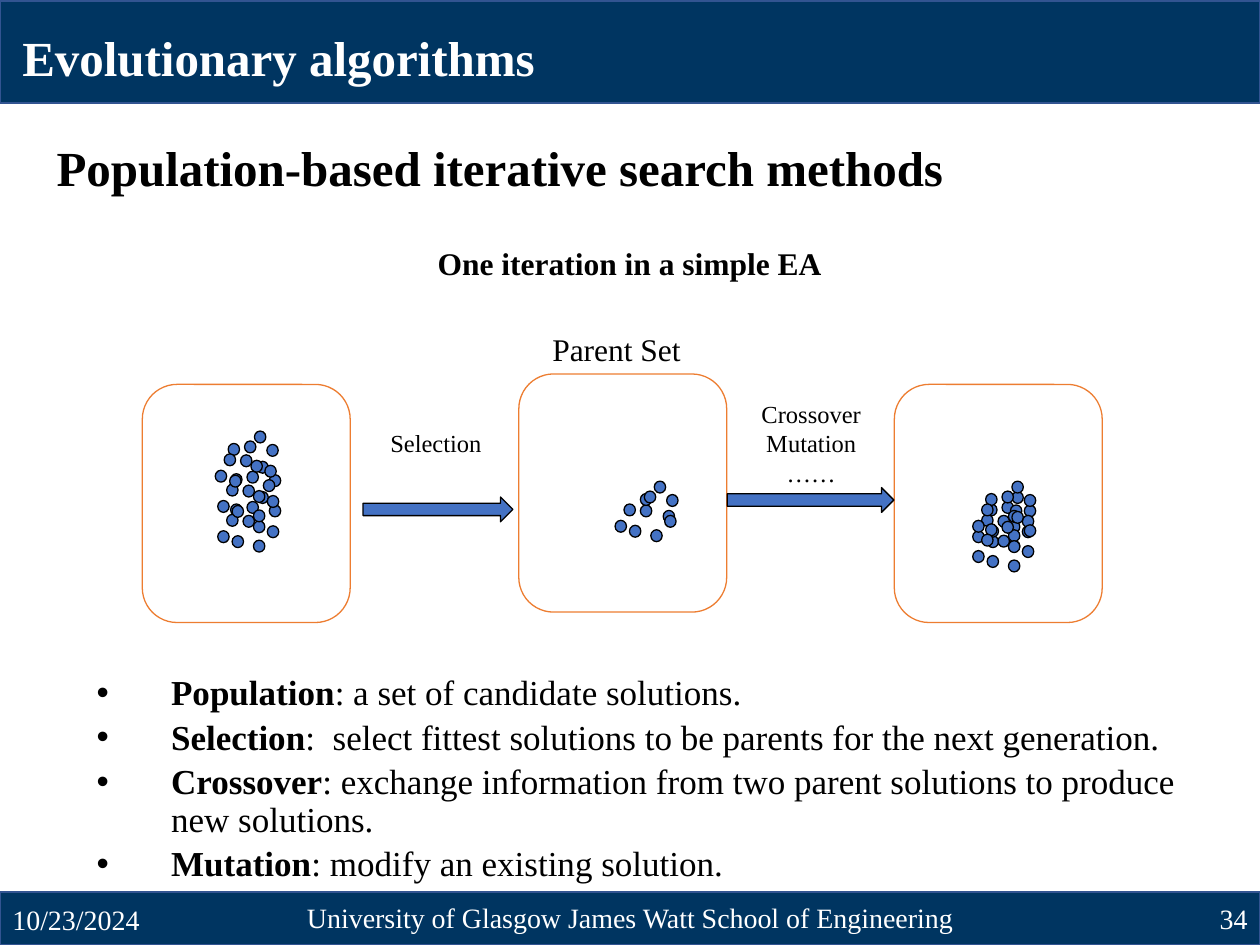
import pptx
import pptx.util
from lxml import etree
from pptx.dml.color import RGBColor
from pptx.enum.shapes import MSO_SHAPE
from pptx.enum.text import MSO_ANCHOR, PP_ALIGN
from pptx.oxml.ns import qn
from pptx.util import Cm, Pt

NAVY = RGBColor(0x00, 0x35, 0x61)
EDGE = RGBColor(0x32, 0x54, 0x91)
BLUE = RGBColor(0x44, 0x72, 0xC4)
ORANGE = RGBColor(0xED, 0x7D, 0x31)
BLACK = RGBColor(0, 0, 0)
WHITE = RGBColor(0xFF, 0xFF, 0xFF)

# One cluster of solutions: dot offsets in cm from the cluster's corner
DOTS = [(1.04, 0.27), (0.51, 0.48), (0.26, 0.25), (0.18, 0.46),
        (0.29, 0.89), (0.72, 0.59), (0.72, 0.98), (1.0, 0.69),
        (0.59, 0.2), (0, 0.79), (0.79, 0)]
SHIFT = 0.25

# Corner of each cluster, and the dots that sit one shift to the right
GROUPS = [
    (4.39, 9.91, ()), (12.4, 9.7, (2, 5)), (4.39, 9.3, ()),
    (4.34, 8.69, (6,)), (19.61, 9.91, ()), (19.61, 9.7, (1,)),
    (19.61, 10.31, ()),
]

TERMS = [
    ("Population", ": a set of candidate solutions."),
    ("Selection", ":  select fittest solutions to be parents for the next"
                  " generation."),
    ("Crossover", ": exchange information from two parent solutions to"
                  " produce new solutions."),
    ("Mutation", ": modify an existing solution."),
]


class Deck:
    face = "Times New Roman"

    def __init__(self, slide):
        self.slide = slide

    def shape(self, kind, x, y, w, h, fill=BLUE, line=BLACK, width=0.75):
        item = self.slide.shapes.add_shape(kind, Cm(x), Cm(y), Cm(w), Cm(h))
        item.shadow.inherit = False
        if fill is None:
            item.fill.background()
        else:
            item.fill.solid()
            item.fill.fore_color.rgb = fill
        item.line.color.rgb = line
        item.line.width = Pt(width)
        return item

    def bar(self, y, h):
        self.shape(MSO_SHAPE.RECTANGLE, 0, y, 25.4, h, NAVY, EDGE, 1)

    def frame(self, x, y):
        item = self.shape(MSO_SHAPE.ROUNDED_RECTANGLE, x, y, 4.19, 4.8,
                          None, ORANGE)
        item.adjustments[0] = 0.167

    def arrow(self, x, y, w):
        self.shape(MSO_SHAPE.RIGHT_ARROW, x, y, w, 0.5)

    def group(self, x, y, moved):
        """Draw one cluster of dots."""
        for i, (dx, dy) in enumerate(DOTS):
            push = SHIFT if i in moved else 0
            self.shape(MSO_SHAPE.OVAL, x + dx + push, y + dy, 0.23, 0.24)

    def box(self, x, y, w, h, wrap=True, anchor=MSO_ANCHOR.TOP):
        item = self.slide.shapes.add_textbox(Cm(x), Cm(y), Cm(w), Cm(h))
        frame = item.text_frame
        frame.word_wrap = wrap
        frame.vertical_anchor = anchor
        return frame

    def font(self, para, size, color=BLACK, bold=False):
        para.font.name = self.face
        para.font.size = Pt(size)
        para.font.color.rgb = color
        if bold:
            para.font.bold = True

    def text(self, lines, x, y, w, h, size, color=BLACK, bold=False,
             align=PP_ALIGN.CENTER, wrap=True, anchor=MSO_ANCHOR.TOP):
        frame = self.box(x, y, w, h, wrap, anchor)
        frame.text = lines
        for para in frame.paragraphs:
            para.alignment = align
            self.font(para, size, color, bold)
        return frame

    def foot(self, words, x, y, w, align):
        self.text(words, x, y, w, 1.02, 16, WHITE, align=align,
                  anchor=MSO_ANCHOR.MIDDLE)

    def list(self, terms, x, y, w, h):
        """Write bullets that each open with a bold term."""
        frame = self.box(x, y, w, h)
        for i, (term, rest) in enumerate(terms):
            para = frame.paragraphs[0] if i == 0 else frame.add_paragraph()
            para.line_spacing = 0.9
            if i:
                para.space_before = Pt(3.8)
            props = para._p.get_or_add_pPr()
            props.set("marL", str(Cm(2.77)))
            props.set("indent", str(-Cm(1.5)))
            face = etree.SubElement(props, qn("a:buFont"))
            face.set("typeface", "Arial")
            etree.SubElement(props, qn("a:buChar")).set("char", "•")
            self.font(para, 20)
            head = para.add_run()
            head.text = term
            head.font.bold = True
            para.add_run().text = rest


def main():
    show = pptx.Presentation()
    show.slide_width, show.slide_height = Cm(25.4), Cm(19.05)
    deck = Deck(show.slides.add_slide(show.slide_layouts[6]))

    deck.bar(17.98, 1.07)
    deck.bar(0.02, 2.06)
    deck.foot("10/23/2024", 0, 18.03, 5.72, PP_ALIGN.LEFT)
    deck.foot("34", 19.68, 18.01, 5.72, PP_ALIGN.RIGHT)
    deck.foot("University of Glasgow James Watt School of Engineering",
              5.72, 17.98, 13.97, PP_ALIGN.CENTER)

    deck.text("Evolutionary algorithms", 0.2, 0.43, 10.95, 1.45, 28, WHITE,
              True, PP_ALIGN.LEFT, wrap=False)
    title = deck.text("Population-based iterative search methods",
                      0.89, 2.64, 21.59, 1.45, 28, BLACK, True,
                      PP_ALIGN.LEFT, anchor=MSO_ANCHOR.BOTTOM)
    title.paragraphs[0].line_spacing = 0.9
    deck.list(TERMS, 0.43, 13.49, 24.41, 4.37)
    deck.text("One iteration in a simple EA", 8.53, 4.8, 8.33, 1.02, 18,
              bold=True, wrap=False)

    for x, y in [(2.87, 7.75), (10.46, 7.54), (18.03, 7.75)]:
        deck.frame(x, y)
    deck.arrow(7.32, 10.02, 3.02)
    deck.arrow(14.66, 9.83, 3.36)
    for x, y, moved in GROUPS:
        deck.group(x, y, moved)

    deck.text("Selection", 7.14, 8.51, 3.3, 0.86, 14)
    deck.text("Crossover\nMutation\n……", 14.55, 7.92, 3.61, 2.06, 14)
    deck.text("Parent Set", 10.87, 6.53, 3.12, 1.02, 18, wrap=False)

    show.save("out.pptx")


if __name__ == "__main__":
    main()
